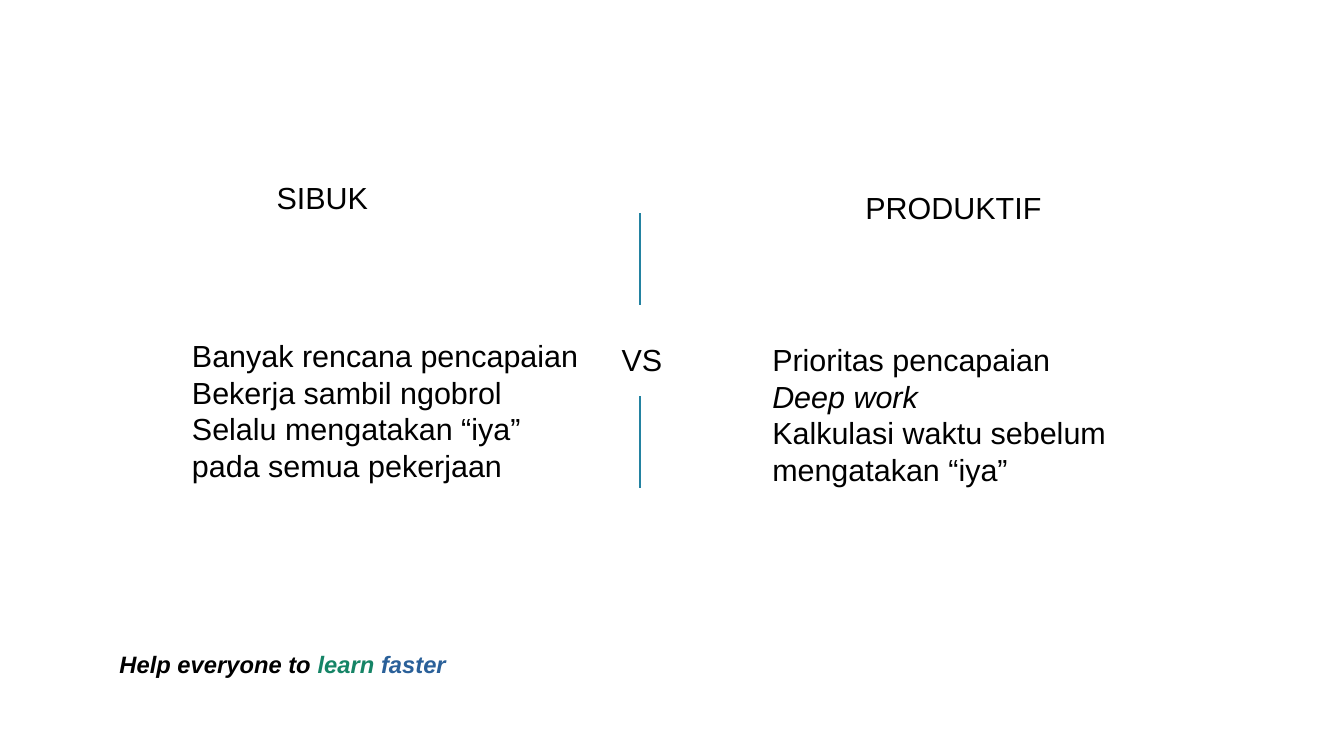
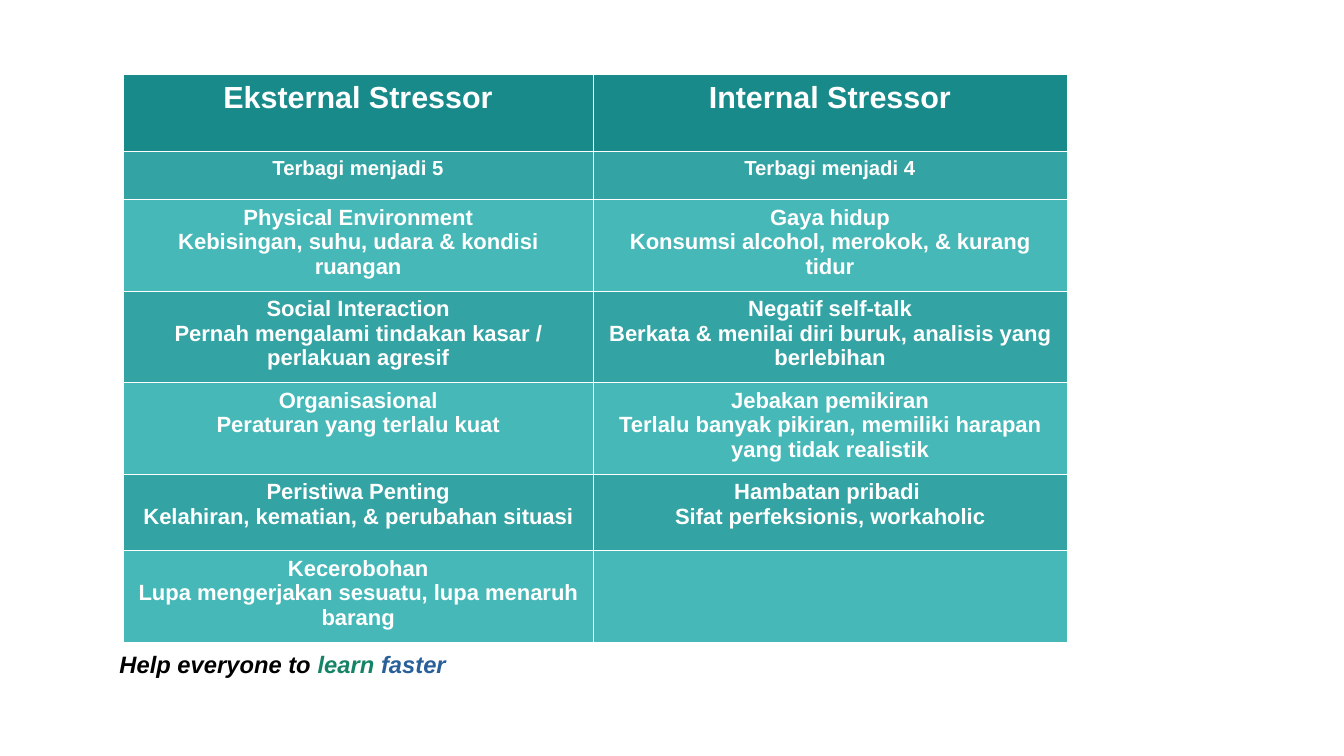
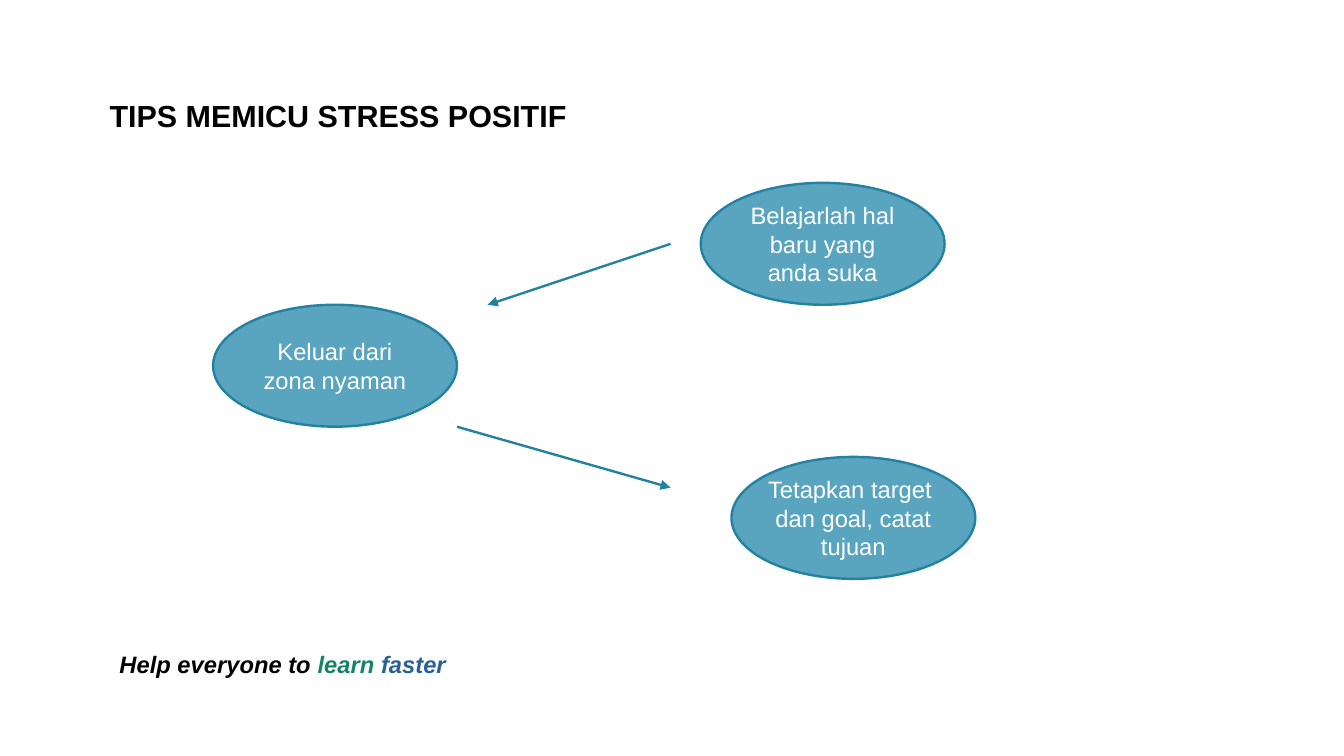
import pptx
import pptx.dml.color
import pptx.enum.shapes
import pptx.enum.text
import pptx.oxml
import pptx.oxml.ns
import pptx.util
from lxml import etree

Cm = pptx.util.Cm
Pt = pptx.util.Pt
CENTER = pptx.enum.text.PP_ALIGN.CENTER
LEFT = pptx.enum.text.PP_ALIGN.LEFT
MIDDLE = pptx.enum.text.MSO_ANCHOR.MIDDLE
TOP = pptx.enum.text.MSO_ANCHOR.TOP

FONT = "Arial"
LINE_WIDTH = 1.42
COLORS = {
    "text": "000000", "white": "FFFFFF", "green": "158466", "blue": "2A6099",
    "line": "2382A1", "oval": "59A5BF",
    "header": "198A8A", "dark": "33A3A3", "light": "47B8B8",
}

SLOGAN = [("Help everyone to ", "text"), ("learn ", "green"), ("faster", "blue")]
SLOGAN_BOX = (2.24, 13.41, 8.89, 0.79)

LABELS = [
    ("SIBUK", (5.51, 3.61, 2.41, 0.97)),
    ("VS", (12.7, 6.99, 1.35, 0.97)),
    ("PRODUKTIF", (17.78, 3.81, 4.17, 0.97)),
]
DIVIDERS = [(13.33, 4.44, 13.33, 6.35), (13.33, 8.25, 13.33, 10.16)]
HABITS = [
    (["Banyak rencana pencapaian", "Bekerja sambil ngobrol",
      "Selalu mengatakan “iya”", "pada semua pekerjaan"],
     (3.15, 6.9, 9.4, 3.1)),
    (["Prioritas pencapaian", "Deep work",
      "Kalkulasi waktu sebelum", "mengatakan “iya”"],
     (15.24, 6.98, 8.4, 3.1)),
]
ITALIC_HABIT = "Deep work"

STRESSORS = [
    (["Eksternal Stressor"], ["Internal Stressor"]),
    (["Terbagi menjadi 5"], ["Terbagi menjadi 4"]),
    (["Physical Environment", "Kebisingan, suhu, udara & kondisi ruangan"],
     ["Gaya hidup", "Konsumsi alcohol, merokok, & kurang tidur"]),
    (["Social Interaction", "Pernah mengalami tindakan kasar / perlakuan agresif"],
     ["Negatif self-talk", "Berkata & menilai diri buruk, analisis yang berlebihan"]),
    (["Organisasional", "Peraturan yang terlalu kuat"],
     ["Jebakan pemikiran", "Terlalu banyak pikiran, memiliki harapan yang tidak realistik"]),
    (["Peristiwa Penting", "Kelahiran, kematian, & perubahan situasi"],
     ["Hambatan pribadi ", "Sifat perfeksionis, workaholic"]),
    (["Kecerobohan", "Lupa mengerjakan sesuatu, lupa menaruh barang"], []),
]
STRESSOR_COLUMNS = [9.78, 9.88]
STRESSOR_ROWS = [1.59, 1.01, 1.89, 1.89, 1.89, 1.59, 1.89]
STRESSOR_SIZES = [18, 12, 13, 13, 13, 13, 13]

TIPS_TITLE = "TIPS MEMICU STRESS POSITIF"
TIPS_TITLE_BOX = (1.78, 1.9, 10.53, 0.97)
TIPS = [
    (["Belajarlah hal", "baru yang", "anda suka"], (14.6, 3.81)),
    (["Keluar dari", "zona nyaman"], (4.44, 6.35)),
    (["Tetapkan target ", "dan goal, catat", "tujuan"], (15.24, 9.52)),
]
TIP_SIZE = (5.08, 2.54)
ARROWS = [(13.97, 5.08, 10.16, 6.35), (9.52, 8.89, 13.97, 10.16)]


def rgb(name):
    return pptx.dml.color.RGBColor.from_string(COLORS[name])


def lengths(values):
    return [Cm(value) for value in values]


def style(paragraph, size, color="text", bold=False, align=CENTER):
    paragraph.alignment = align
    font = paragraph.font
    font.name, font.size, font.bold = FONT, Pt(size), bold
    font.color.rgb = rgb(color)


def write(frame, lines, size, color="text", bold=False, align=CENTER, bullets=False):
    for index, line in enumerate(lines):
        paragraph = frame.add_paragraph() if index else frame.paragraphs[0]
        paragraph.text = line
        if bullets:
            add_bullet(paragraph)
        style(paragraph, size, color, bold, align)


def add_bullet(paragraph):
    properties = paragraph._p.get_or_add_pPr()
    properties.set("marL", str(Cm(0.6)))
    properties.set("indent", str(-Cm(0.6)))
    qn = pptx.oxml.ns.qn
    color = etree.SubElement(properties, qn("a:buClr"))
    etree.SubElement(color, qn("a:srgbClr"), val=COLORS["white"])
    etree.SubElement(properties, qn("a:buSzPct"), val="45000")
    etree.SubElement(properties, qn("a:buChar"), char="●")


def add_text(slide, box, lines, size, wrap=False, **options):
    frame = slide.shapes.add_textbox(*lengths(box)).text_frame
    frame.word_wrap = wrap
    write(frame, lines, size, **options)
    return frame


def add_line(slide, ends, arrow=False):
    straight = pptx.enum.shapes.MSO_CONNECTOR.STRAIGHT
    connector = slide.shapes.add_connector(straight, *lengths(ends))
    connector.line.color.rgb = rgb("line")
    connector.line.width = Pt(LINE_WIDTH)
    qn = pptx.oxml.ns.qn
    properties = connector._element.spPr
    if arrow:
        etree.SubElement(properties.find(qn("a:ln")), qn("a:tailEnd"), type="triangle")
    etree.SubElement(properties, qn("a:effectLst"))


def add_slide(deck, layout):
    slide = deck.slides.add_slide(deck.slide_layouts.get_by_name(layout))
    frame = slide.shapes.add_textbox(*lengths(SLOGAN_BOX)).text_frame
    frame.word_wrap = True
    slogan = frame.paragraphs[0]
    style(slogan, 14, bold=True, align=LEFT)
    slogan.font.italic = True
    for words, color in SLOGAN:
        run = slogan.add_run()
        run.text = words
        run.font.color.rgb = rgb(color)
    return slide


def border_cell(cell):
    properties = cell._tc.get_or_add_tcPr()
    qn = pptx.oxml.ns.qn
    for index, side in enumerate(("a:lnL", "a:lnR", "a:lnT", "a:lnB")):
        edge = etree.Element(qn(side), w=str(Pt(0.06)))
        fill = etree.SubElement(edge, qn("a:solidFill"))
        etree.SubElement(fill, qn("a:srgbClr"), val=COLORS["white"])
        properties.insert(index, edge)


def build_comparison(deck):
    slide = add_slide(deck, "Blank")
    for label, box in LABELS:
        add_text(slide, box, [label], 18)
    for ends in DIVIDERS:
        add_line(slide, ends)
    for habits, box in HABITS:
        frame = add_text(slide, box, habits, 18, wrap=True, align=LEFT, bullets=True)
        for paragraph in frame.paragraphs:
            paragraph.font.italic = paragraph.text == ITALIC_HABIT


def build_stressors(deck):
    slide = add_slide(deck, "Blank")
    box = (2.57, 1.55, sum(STRESSOR_COLUMNS), sum(STRESSOR_ROWS))
    table = slide.shapes.add_table(
        len(STRESSOR_ROWS), len(STRESSOR_COLUMNS), *lengths(box)).table
    table.horz_banding = False
    for column, width in zip(table.columns, STRESSOR_COLUMNS):
        column.width = Cm(width)
    for index, (row, height) in enumerate(zip(table.rows, STRESSOR_ROWS)):
        row.height = Cm(height)
        fill = "header" if index == 0 else ("light", "dark")[index % 2]
        for cell, lines in zip(row.cells, STRESSORS[index]):
            cell.fill.solid()
            cell.fill.fore_color.rgb = rgb(fill)
            border_cell(cell)
            write(cell.text_frame, lines, STRESSOR_SIZES[index], "white", bold=True)


def build_tips(deck):
    slide = add_slide(deck, "Title Only")
    title = slide.shapes.title
    title.left, title.top, title.width, title.height = lengths(TIPS_TITLE_BOX)
    title.text_frame.word_wrap = False
    title.text_frame.auto_size = pptx.enum.text.MSO_AUTO_SIZE.NONE
    title.text_frame.vertical_anchor = TOP
    write(title.text_frame, [TIPS_TITLE], 18, bold=True)
    for lines, corner in TIPS:
        oval = slide.shapes.add_shape(
            pptx.enum.shapes.MSO_SHAPE.OVAL, *lengths(corner + TIP_SIZE))
        oval.shadow.inherit = False
        oval.fill.solid()
        oval.fill.fore_color.rgb = rgb("oval")
        oval.line.color.rgb = rgb("line")
        oval.line.width = Pt(LINE_WIDTH)
        oval.text_frame.word_wrap = False
        oval.text_frame.vertical_anchor = MIDDLE
        write(oval.text_frame, lines, 14, "white")
    for ends in ARROWS:
        add_line(slide, ends, arrow=True)


def main():
    deck = pptx.Presentation()
    deck.slide_width, deck.slide_height = Cm(28), Cm(15.75)
    build_comparison(deck)
    build_stressors(deck)
    build_tips(deck)
    deck.save("out.pptx")


if __name__ == "__main__":
    main()
